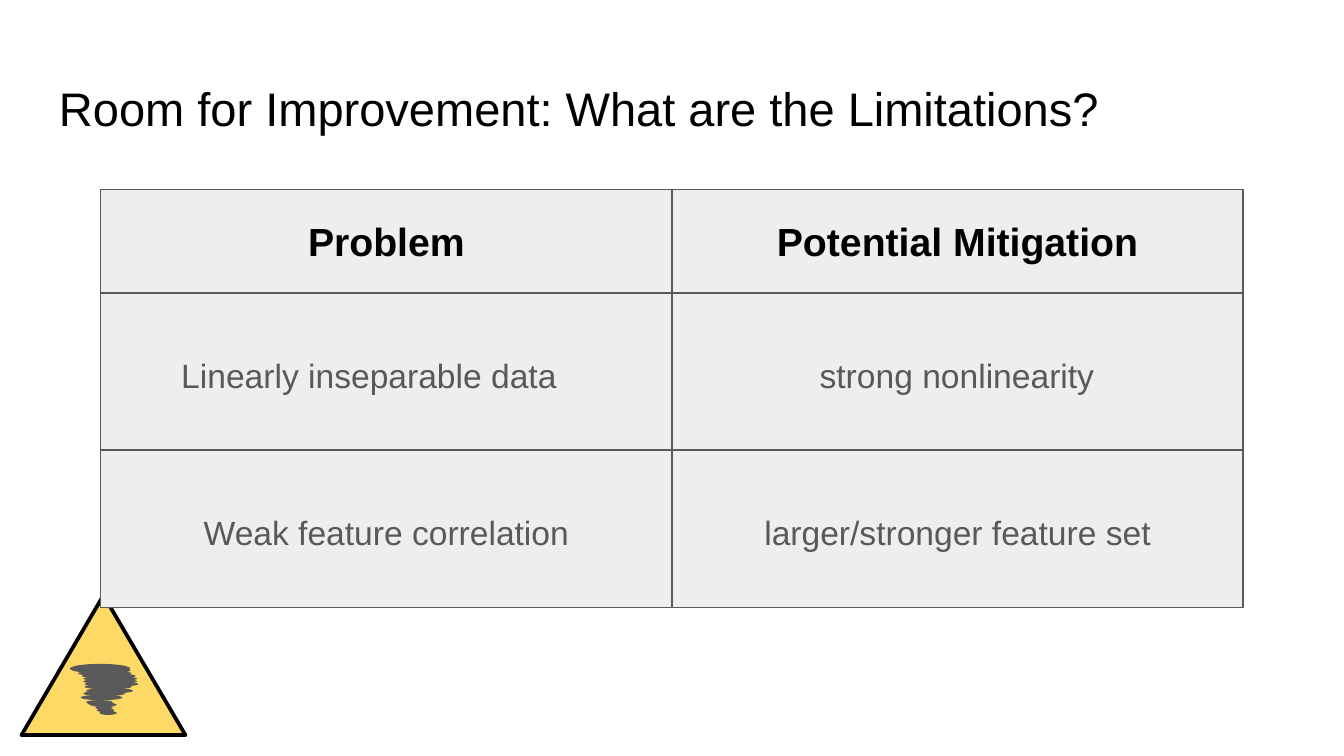
import pptx
import pptx.dml.color
import pptx.enum.shapes
import pptx.enum.text
import pptx.util
from pptx.util import Inches

SHAPE = pptx.enum.shapes.MSO_SHAPE
ALIGN = pptx.enum.text.PP_ALIGN
ANCHOR = pptx.enum.text.MSO_ANCHOR

COLORS = {
    "black": "000000",
    "gray": "595959",
    "pale": "EEEEEE",
    "yellow": "FFD966",
}

# Funnel rings, top to bottom: left, top, width, height
RINGS = [
    (0.52, 4.94, 0.45, 0.07),
    (0.53, 4.96, 0.40, 0.04),
    (0.57, 4.97, 0.40, 0.04),
    (0.58, 4.99, 0.40, 0.04),
    (0.61, 5.01, 0.40, 0.04),
    (0.62, 5.03, 0.40, 0.04),
    (0.62, 5.05, 0.40, 0.04),
    (0.63, 5.07, 0.40, 0.04),
    (0.63, 5.09, 0.35, 0.04),
    (0.64, 5.12, 0.35, 0.04),
    (0.62, 5.14, 0.31, 0.04),
    (0.60, 5.17, 0.31, 0.04),
    (0.64, 5.21, 0.20, 0.03),
    (0.65, 5.22, 0.20, 0.03),
    (0.67, 5.23, 0.20, 0.03),
    (0.71, 5.25, 0.13, 0.03),
    (0.72, 5.27, 0.13, 0.03),
    (0.74, 5.29, 0.13, 0.03),
]

HEAD = {"size": 21, "color": "black", "bold": True, "align": ALIGN.CENTER}
BODY = {"size": 18, "color": "gray", "lines": 1.15, "after": 12}
MID = {**BODY, "align": ALIGN.CENTER}

# Each row: height, then text and format of its two cells
ROWS = [
    (0.77, [("Problem", HEAD), ("Potential Mitigation", HEAD)]),
    (1.17, [("Linearly inseparable data", {**BODY, "first": 0.5}),
            ("strong nonlinearity", {**BODY, "left": 1})]),
    (1.17, [("Weak feature correlation", MID),
            ("larger/stronger feature set", MID)]),
]
WIDTH = 4.25


def rgb(name):
    return pptx.dml.color.RGBColor.from_string(COLORS[name])


def write(form, text, size, color, bold=False, align=ALIGN.LEFT,
          anchor=ANCHOR.MIDDLE, left=0, first=0, lines=None, after=None):
    """Put one formatted paragraph in a shape; indents are in inches."""
    frame = form.text_frame
    frame.word_wrap = True
    frame.vertical_anchor = anchor
    frame.margin_left = frame.margin_right = Inches(0.1)
    frame.margin_top = frame.margin_bottom = Inches(0.1)
    par = frame.paragraphs[0]
    props = par._p.get_or_add_pPr()
    props.set("marL", str(Inches(left)))
    props.set("indent", str(Inches(first)))
    par.alignment = align
    par.line_spacing = lines
    if after is not None:
        par.space_after = pptx.util.Pt(after)
    run = par.add_run()
    run.text = text
    run.font.name = "Arial"
    run.font.size = pptx.util.Pt(size)
    run.font.bold = bold
    run.font.color.rgb = rgb(color)


def add_title(slide, text):
    box = slide.shapes.add_textbox(
        Inches(0.34), Inches(0.49), Inches(9.32), Inches(0.63))
    write(box, text, size=25.2, color="black", anchor=ANCHOR.TOP)


def add_form(owner, kind, spot, fill, line=None, width=0.75):
    """Add a filled preset shape, outlined if line names a colour."""
    form = owner.shapes.add_shape(kind, *map(Inches, spot))
    form.shadow.inherit = False
    form.fill.solid()
    form.fill.fore_color.rgb = rgb(fill)
    if line:
        form.line.color.rgb = rgb(line)
        form.line.width = pptx.util.Pt(width)
    else:
        form.line.fill.background()
    return form


def add_sign(slide):
    group = slide.shapes.add_group_shape()
    add_form(group, SHAPE.FLOWCHART_EXTRACT, (0.16, 4.43, 1.22, 1.04),
             "yellow", line="black", width=2)
    for ring in RINGS:
        add_form(group, SHAPE.OVAL, ring, "gray")


def add_grid(slide, left, top):
    for height, items in ROWS:
        for col, (text, style) in enumerate(items):
            spot = (left + col * WIDTH, top, WIDTH, height)
            cell = add_form(slide, SHAPE.RECTANGLE, spot, "pale", line="gray")
            write(cell, text, **style)
        top += height


def main():
    deck = pptx.Presentation()
    deck.slide_width = Inches(10)
    deck.slide_height = Inches(10) * 9 // 16
    slide = deck.slides.add_slide(deck.slide_layouts[6])
    add_title(slide, "Room for Improvement: What are the Limitations?")
    add_sign(slide)
    add_grid(slide, 0.75, 1.41)
    deck.save("out.pptx")


if __name__ == "__main__":
    main()
